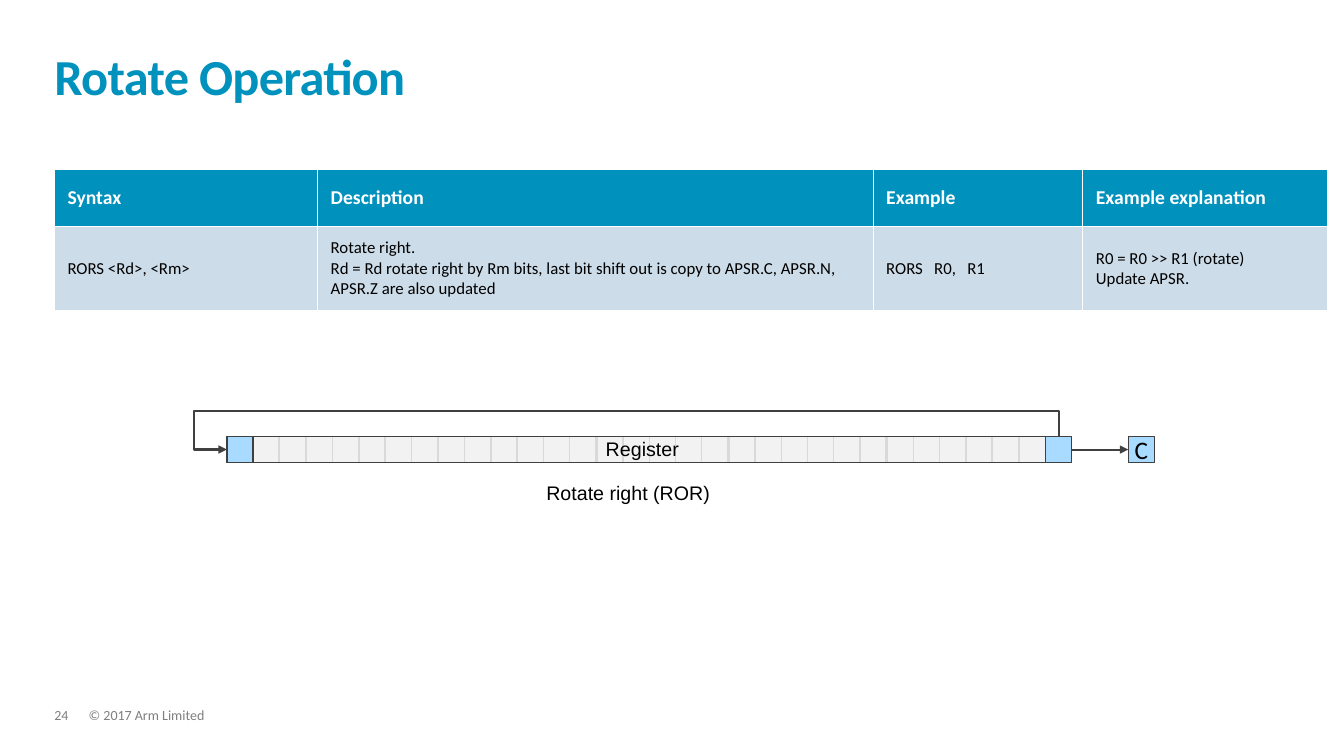
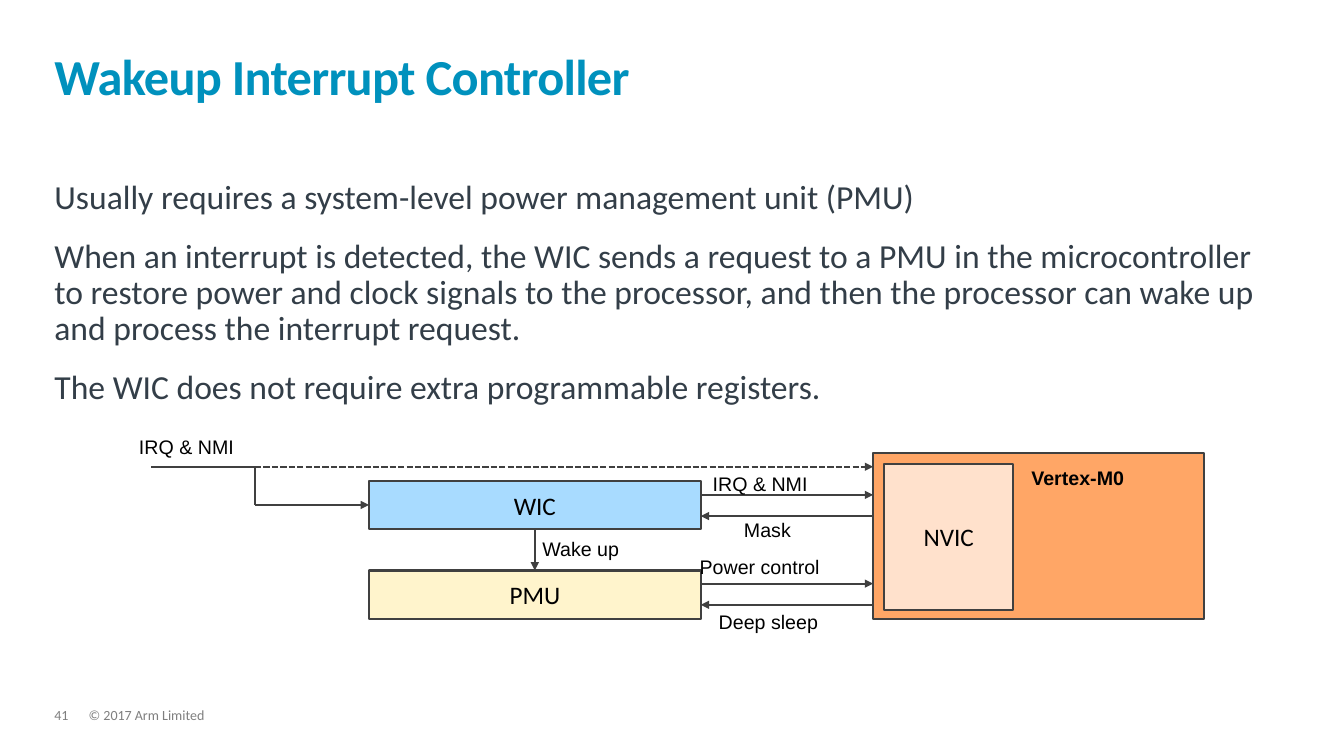
"""Build two processor slides: the rotate operation and the wakeup interrupt controller."""
from lxml import etree
from pptx import Presentation
from pptx.dml.color import RGBColor
from pptx.enum.dml import MSO_LINE
from pptx.enum.shapes import MSO_CONNECTOR, MSO_SHAPE
from pptx.enum.text import MSO_ANCHOR, MSO_AUTO_SIZE, PP_ALIGN
from pptx.oxml.ns import qn
from pptx.util import Pt

PX = 9144
RECTANGLE = MSO_SHAPE.RECTANGLE
STRAIGHT, ELBOW = MSO_CONNECTOR.STRAIGHT, MSO_CONNECTOR.ELBOW
DASHED = MSO_LINE.SQUARE_DOT
MIDDLE, BOTTOM = MSO_ANCHOR.MIDDLE, MSO_ANCHOR.BOTTOM
CENTER, LEFT = PP_ALIGN.CENTER, PP_ALIGN.LEFT
TOP_SIDE, LEFT_SIDE, BOTTOM_SIDE, RIGHT_SIDE = range(4)
COLORS = {name: RGBColor.from_string(value) for name, value in {
    "brand": "0091BD", "body": "333E48", "footer": "7F7F7F",
    "black": "000000", "white": "FFFFFF", "row": "CCDCE8",
    "bit": "F2F2F2", "bit_edge": "D9D9D9", "edge": "404040",
    "blue": "A8DBFF", "yellow": "FFF4CC", "orange": "FFA666", "peach": "FFE1CC",
}.items()}


def add_box(slide, box, text="", size=14, font="Arial", color="black", bold=False,
            fill=None, edge=None, weight=1, flush=False):
    """Add a text box, or a rectangle with centred text when an edge is given."""
    bounds = [length * PX for length in box]
    if edge:
        shape = slide.shapes.add_shape(RECTANGLE, *bounds)
        shape.shadow.inherit = False
        shape.line.color.rgb = COLORS[edge]
        shape.line.width = Pt(weight)
        if fill:
            shape.fill.solid()
            shape.fill.fore_color.rgb = COLORS[fill]
        else:
            shape.fill.background()
    else:
        shape = slide.shapes.add_textbox(*bounds)
    frame = shape.text_frame
    frame.word_wrap = not edge
    if edge:
        frame.vertical_anchor = MIDDLE
    if flush:
        frame.margin_left = frame.margin_right = frame.margin_top = frame.margin_bottom = 0
    if text:
        frame.text = text
        for paragraph in frame.paragraphs:
            paragraph.alignment = CENTER if edge else LEFT
            if flush:
                paragraph.line_spacing = 0.9
                paragraph.space_after = Pt(16)
            for run in paragraph.runs:
                run.font.name, run.font.size, run.font.bold = font, Pt(size), bold
                run.font.color.rgb = COLORS[color]
    return shape


def add_line(slide, start=(0, 0), end=(0, 0), joins=(None, None), kind=STRAIGHT,
             arrow=True, dash=None):
    """Add a connector; joins holds a (shape, side) pair or None for each end."""
    line = slide.shapes.add_connector(kind, *[length * PX for length in (*start, *end)])
    if joins[0]:
        line.begin_connect(*joins[0])
    if joins[1]:
        line.end_connect(*joins[1])
    line.line.color.rgb = COLORS["edge"]
    line.line.width = Pt(1.5)
    if dash:
        line.line.dash_style = dash
    properties = line._element.spPr
    if arrow:
        etree.SubElement(properties.find(qn("a:ln")), qn("a:tailEnd"), type="triangle")
    etree.SubElement(properties, qn("a:effectLst"))
    return line


prs = Presentation()
prs.slide_width, prs.slide_height = 1333 * PX, 750 * PX

slides = []
for heading, page in [("Rotate Operation", "24"), ("Wakeup Interrupt Controller", "41")]:
    slide = prs.slides.add_slide(prs.slide_layouts[5])
    title = slide.shapes.title
    title.left, title.top, title.width, title.height = 54 * PX, 32 * PX, 1223 * PX, 73 * PX
    frame = title.text_frame
    frame.text = heading
    frame.auto_size = MSO_AUTO_SIZE.NONE
    frame.vertical_anchor = BOTTOM
    frame.margin_left = frame.margin_right = frame.margin_top = frame.margin_bottom = 0
    paragraph = frame.paragraphs[0]
    paragraph.alignment = LEFT
    paragraph.line_spacing = 0.85
    run = paragraph.runs[0]
    run.font.name, run.font.size, run.font.bold = "Calibri", Pt(36), True
    run.font.color.rgb = COLORS["brand"]
    run._r.get_or_add_rPr().set("spc", "-50")
    for left, width, text in [(88, 913, "© 2017 Arm Limited"), (54, 34, page)]:
        add_box(slide, (left, 703, width, 15), text, 10, "Calibri", "footer", flush=True)
    slides.append(slide)
rotate, wakeup = slides

INSTRUCTIONS = [
    ["Syntax", "Description", "Example", "Example explanation"],
    ["RORS <Rd>, <Rm>",
     "Rotate right.\nRd = Rd rotate right by Rm bits, last bit shift out is copy to "
     "APSR.C, APSR.N, APSR.Z are also updated",
     "RORS   R0,   R1",
     "R0 = R0 >> R1 (rotate)\nUpdate APSR."],
]
table = rotate.shapes.add_table(2, 4, 54 * PX, 168 * PX, 1263 * PX, 140 * PX).table
table.horz_banding = False
for column, width in zip(table.columns, (261, 551, 208, 243)):
    column.width = width * PX
for row, height in zip(table.rows, (57, 83)):
    row.height = height * PX
for row, texts in enumerate(INSTRUCTIONS):
    fill, color, size = [("brand", "white", 14), ("row", "black", 12)][row]
    for column, text in enumerate(texts):
        cell = table.cell(row, column)
        cell.text = text
        cell.vertical_anchor = MIDDLE
        cell.margin_left = cell.margin_right = 13 * PX
        cell.margin_top = cell.margin_bottom = 5 * PX
        cell.fill.solid()
        cell.fill.fore_color.rgb = COLORS[fill]
        for paragraph in cell.text_frame.paragraphs:
            for run in paragraph.runs:
                run.font.name, run.font.size, run.font.bold = "Calibri", Pt(size), row == 0
                run.font.color.rgb = COLORS[color]

BITS = 32
REGISTER_LEFT, REGISTER_TOP, REGISTER_WIDTH, BIT_SIZE = 225, 433, 838, 26
add_box(rotate, (532, 472, 315, 34), "Rotate right (ROR)")
for bit in range(1, BITS - 1):
    left = REGISTER_LEFT + round(bit * REGISTER_WIDTH / BITS)
    add_box(rotate, (left, REGISTER_TOP, BIT_SIZE, BIT_SIZE), fill="bit", edge="bit_edge")
register = add_box(rotate, (REGISTER_LEFT, REGISTER_TOP, REGISTER_WIDTH, BIT_SIZE), edge="edge")
first_bit, last_bit, carry = [
    add_box(rotate, (left, REGISTER_TOP, BIT_SIZE, BIT_SIZE), text, 18, "Calibri",
            fill="blue", edge="edge")
    for left, text in [(REGISTER_LEFT, ""),
                       (REGISTER_LEFT + REGISTER_WIDTH - BIT_SIZE, ""),
                       (1119, "C")]]
add_line(rotate, joins=((register, RIGHT_SIDE), (carry, LEFT_SIDE)))
add_box(rotate, (591, 429, 137, 34), "Register")

loop = add_line(rotate, joins=((last_bit, TOP_SIDE), (first_bit, LEFT_SIDE)), kind=ELBOW)
loop.left, loop.top, loop.width, loop.height = 631 * PX, 27 * PX, 13 * PX, 825 * PX
transform = loop._element.spPr.find(qn("a:xfrm"))
for key, value in [("rot", "16200000"), ("flipH", "1"), ("flipV", "1")]:
    transform.set(key, value)
geometry = loop._element.spPr.find(qn("a:prstGeom"))
geometry.set("prst", "bentConnector4")
for name, value in [("adj1", -195400), ("adj2", 104000)]:
    etree.SubElement(geometry.find(qn("a:avLst")), qn("a:gd"), name=name, fmla=f"val {value}")

add_box(wakeup, (54, 179, 1223, 447),
        "Usually requires a system-level power management unit (PMU)\n"
        "When an interrupt is detected, the WIC sends a request to a PMU in the "
        "microcontroller to restore power and clock signals to the processor, and then "
        "the processor can wake up and process the interrupt request.\n"
        "The WIC does not require extra programmable registers.",
        24, "Calibri", "body", flush=True)
core, pmu, wic, nvic = [
    add_box(wakeup, box, text, 18, "Calibri", fill=fill, edge="edge", weight=1.5)
    for box, text, fill in [((866, 449, 328, 165), "", "orange"),
                            ((366, 566, 329, 48), "PMU", "yellow"),
                            ((366, 477, 329, 48), "WIC", "blue"),
                            ((877, 460, 128, 145), "NVIC", "peach")]]

CORE_LEFT, UNIT_RIGHT = 866, 695
BRANCH_X, BUS_Y, WIC_MIDDLE = 253, 463, 501
add_line(wakeup, (BRANCH_X, BUS_Y), (CORE_LEFT, BUS_Y), dash=DASHED)
add_line(wakeup, (150, BUS_Y), (BRANCH_X, BUS_Y), arrow=False)
add_line(wakeup, (BRANCH_X, BUS_Y), (BRANCH_X, WIC_MIDDLE), arrow=False)
add_line(wakeup, (BRANCH_X, WIC_MIDDLE), joins=(None, (wic, LEFT_SIDE)))
add_line(wakeup, joins=((wic, BOTTOM_SIDE), (pmu, TOP_SIDE)))
for to_core, to_unit in [(491, 512), (579, 600)]:
    add_line(wakeup, (UNIT_RIGHT, to_core), (CORE_LEFT, to_core))
    add_line(wakeup, (CORE_LEFT, to_unit), (UNIT_RIGHT, to_unit))

for left, top, width, text in [
    (128, 427, 181, "IRQ & NMI"),
    (697, 463, 181, "IRQ & NMI"),
    (728, 509, 119, "Mask"),
    (528, 528, 169, "Wake up"),
    (684, 546, 208, "Power control"),
    (703, 600, 164, "Deep sleep"),
]:
    add_box(wakeup, (left, top, width, 34), text)
add_box(wakeup, (1013, 457, 181, 34), "Vertex-M0", bold=True)

prs.save("out.pptx")
